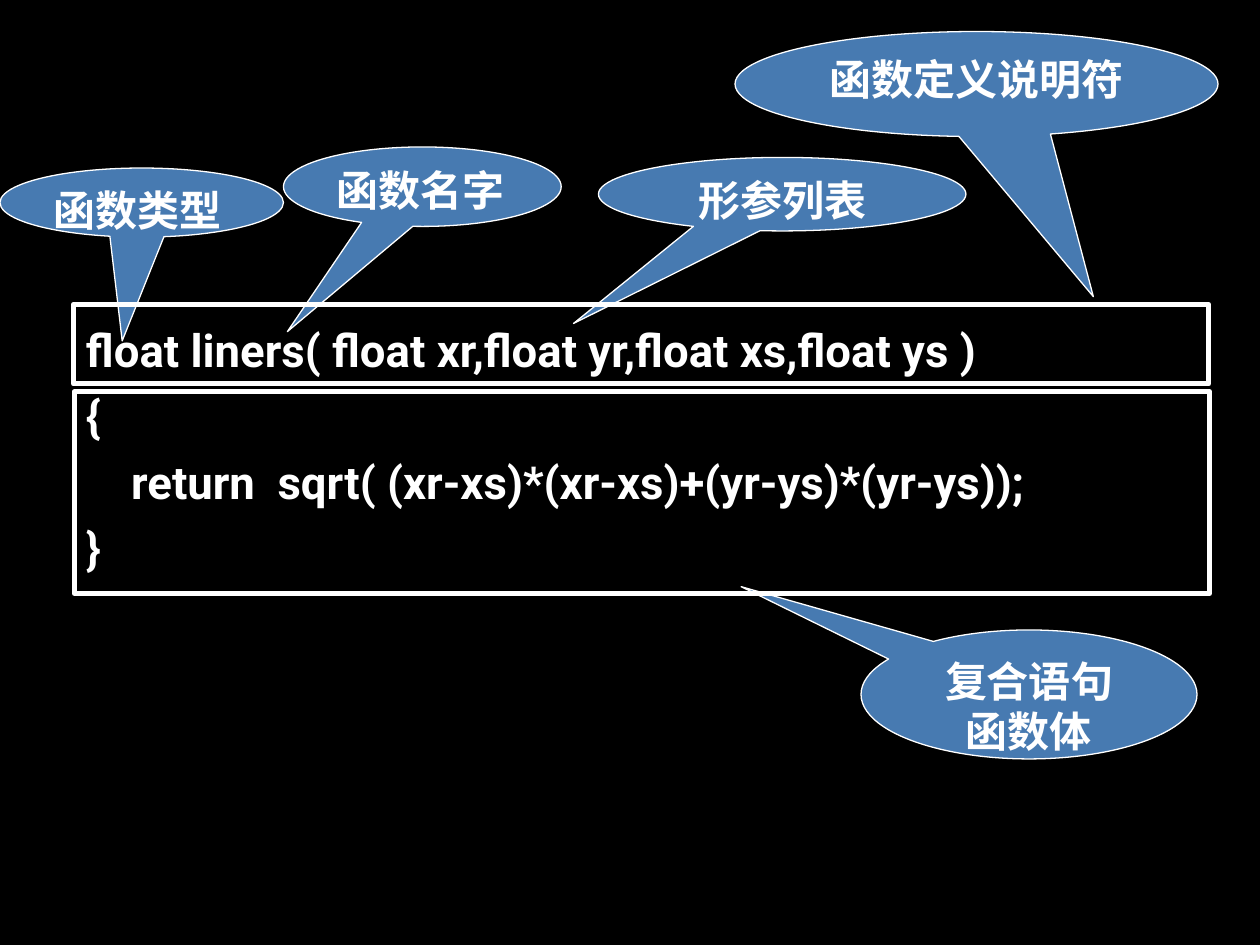
"""Build a slide that labels the parts of a C function definition."""
import pptx
import pptx.dml.color
import pptx.enum.shapes
import pptx.enum.text
import pptx.util

Pt = pptx.util.Pt
SHAPE = pptx.enum.shapes.MSO_SHAPE
ALIGN = pptx.enum.text.PP_ALIGN

BLACK, WHITE, BLUE = "000000", "FFFFFF", "477AB1"
SLIDE_SIZE = (720, 540)
CODE_PLACE = (42, 180.7, 660, 209.5)
CODE = [
    "float liners( float xr,float yr,float xs,float ys )",
    "{",
    "    return  sqrt( (xr-xs)*(xr-xs)+(yr-ys)*(yr-ys));",
    "}",
]
PART_CALLOUTS = [
    (["函数类型"], (0, 96, 162, 39.5), (-0.069, 2.002), ALIGN.LEFT, "Arial"),
    (["函数名字"], (162, 84, 158.7, 45.4), (-0.486, 1.824), ALIGN.LEFT, "Arial"),
    (["形参列表"], (342, 90, 210, 42), (-0.568, 1.759), ALIGN.CENTER, "Arial"),
    (["复合语句", "函数体"], (492, 360, 192, 73.7), (-0.857, -0.836), ALIGN.CENTER, "Arial"),
]
HEADER_CALLOUT = (["函数定义说明符"], (420, 18, 276, 60), (0.242, 2.025), ALIGN.CENTER, "Roboto")
FRAMES = [(42.5, 223.9, 648.7, 115.2), (42, 174, 648.7, 45.4)]


def color(value):
    return pptx.dml.color.RGBColor.from_string(value)


def apply_format(target, values):
    for name, value in values.items():
        setattr(target, name, value)


def write_text(shape, lines, font_name, size, paragraph_format):
    frame = shape.text_frame
    apply_format(frame, {"word_wrap": True, "vertical_anchor": pptx.enum.text.MSO_ANCHOR.TOP})
    for index, line in enumerate(lines):
        para = frame.paragraphs[0] if index == 0 else frame.add_paragraph()
        apply_format(para, paragraph_format)
        if index == 0:
            para.space_before = Pt(0)
        span = para.add_run()
        span.text = line
        apply_format(span.font, {"name": font_name, "size": Pt(size), "bold": True})
        span.font.color.rgb = color(WHITE)


def add_outlined(page, kind, place, line_width):
    shape = page.shapes.add_shape(kind, *map(Pt, place))
    shape.shadow.inherit = False
    shape.line.color.rgb = color(WHITE)
    shape.line.width = Pt(line_width)
    return shape


def add_callout(page, lines, place, tip, alignment, font_name):
    callout = add_outlined(page, SHAPE.OVAL_CALLOUT, place, 0.75)
    callout.fill.solid()
    callout.fill.fore_color.rgb = color(BLUE)
    for index, offset in enumerate(tip):
        callout.adjustments[index] = offset
    write_text(callout, lines, font_name, 24, {"alignment": alignment})


def main():
    deck = pptx.Presentation()
    deck.slide_width, deck.slide_height = map(Pt, SLIDE_SIZE)
    page = deck.slides.add_slide(deck.slide_layouts[6])
    page.background.fill.solid()
    page.background.fill.fore_color.rgb = color(BLACK)

    code_box = page.shapes.add_textbox(*map(Pt, CODE_PLACE))
    write_text(code_box, CODE, "Roboto", 26, {"space_before": Pt(6.5)})
    for callout in PART_CALLOUTS:
        add_callout(page, *callout)
    for place in FRAMES:
        add_outlined(page, SHAPE.RECTANGLE, place, 3).fill.background()
    add_callout(page, *HEADER_CALLOUT)
    deck.save("out.pptx")


if __name__ == "__main__":
    main()
